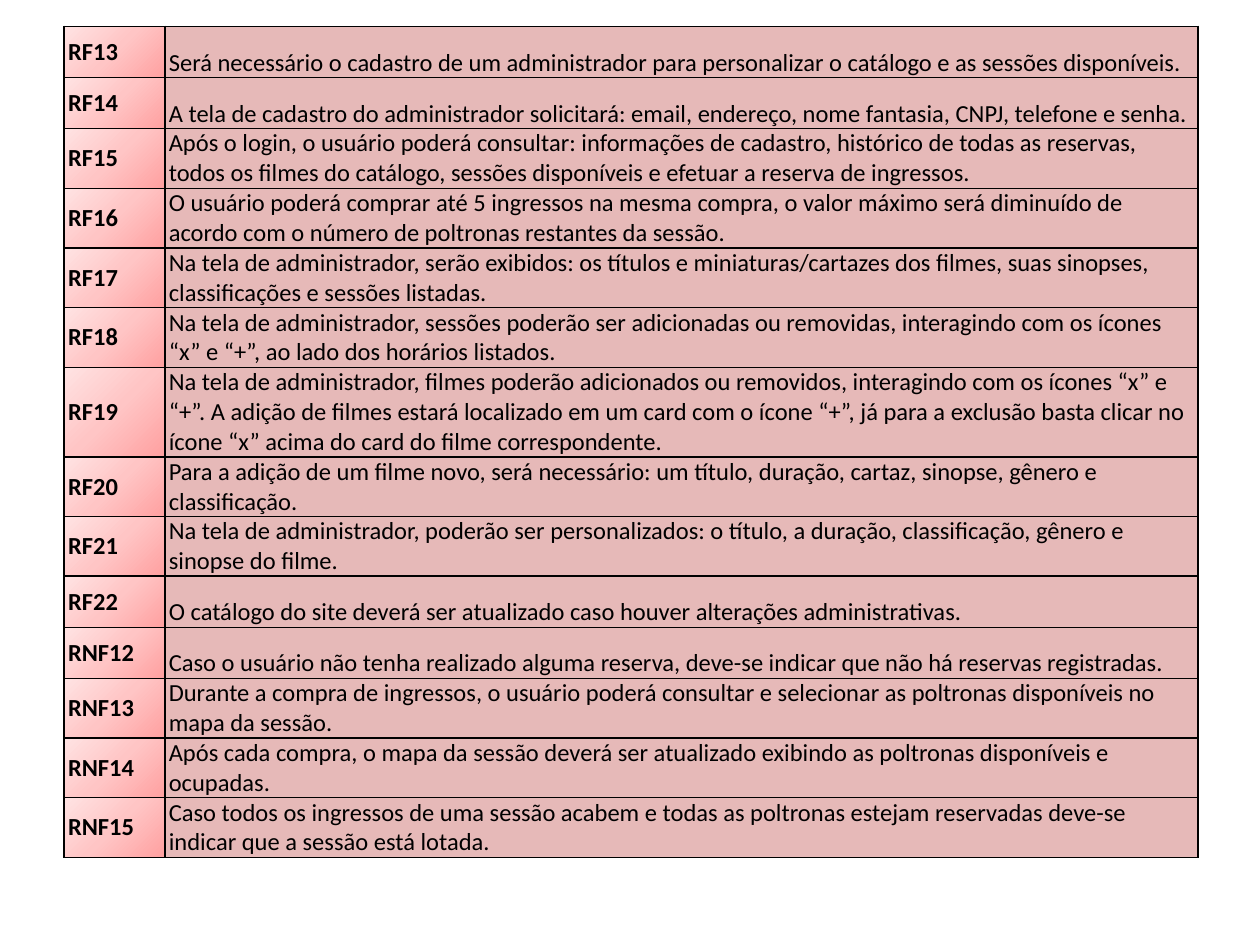
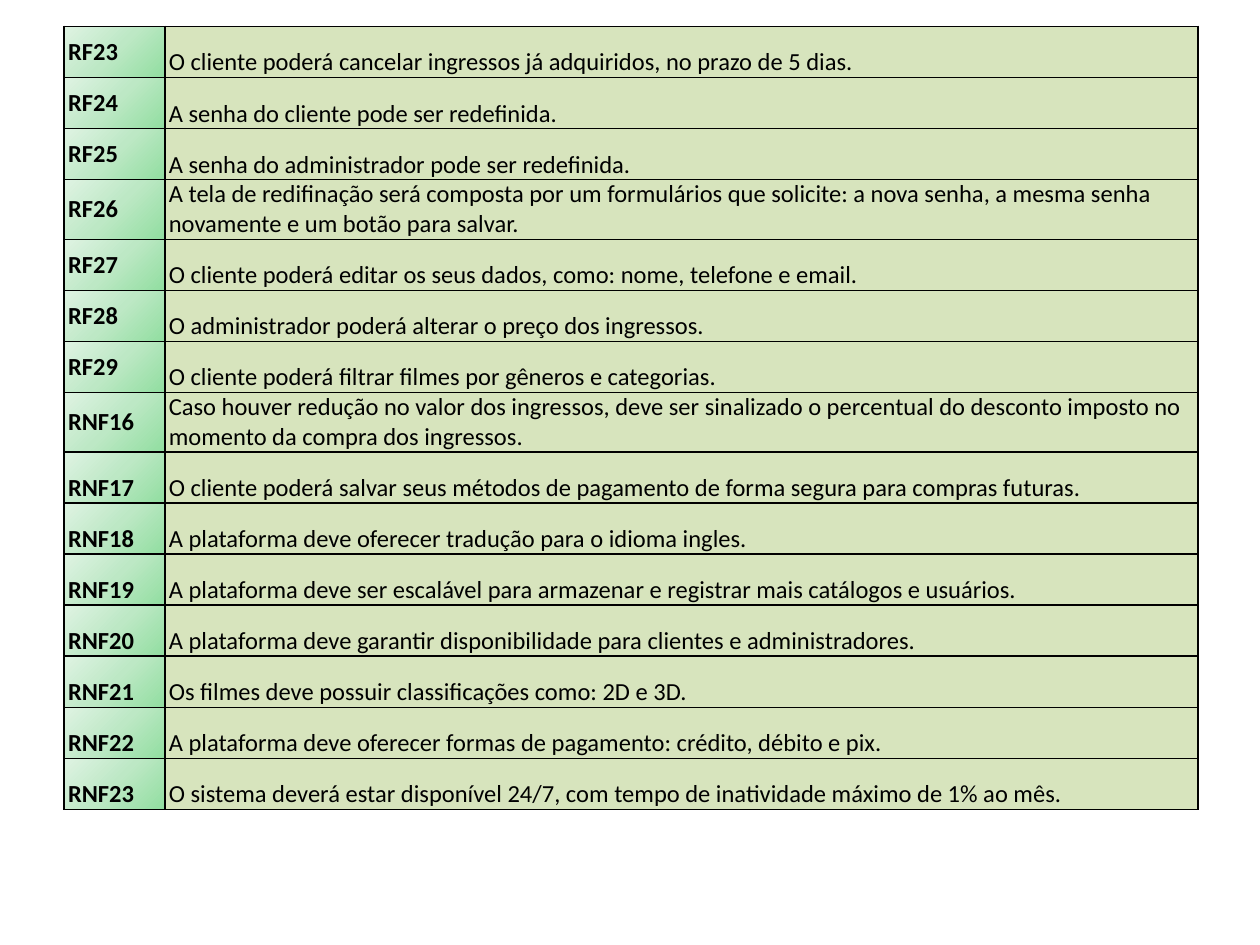
import lxml.etree
import pptx
import pptx.dml.color
import pptx.enum.text
import pptx.oxml.ns
import pptx.util

Inches = pptx.util.Inches
Pt = pptx.util.Pt
Anchor = pptx.enum.text.MSO_ANCHOR
qn = pptx.oxml.ns.qn

RED = {"shade": ("FFA0A0", "FFC5C5", "FFE3E3"), "plain": "E6B9B8"}
GREEN = {"shade": ("91DEA0", "BDE8C5", "DFF3E3"), "plain": "D7E4BD"}
INK = "000000"

ADMIN = [
    ("RF13", "Será necessário o cadastro de um administrador para personalizar o catálogo e as sessões disponíveis."),
    ("RF14", "A tela de cadastro do administrador solicitará: email, endereço, nome fantasia, CNPJ, telefone e senha."),
    ("RF15", "Após o login, o usuário poderá consultar: informações de cadastro, histórico de todas as reservas, "
             "todos os filmes do catálogo, sessões disponíveis e efetuar a reserva de ingressos."),
    ("RF16", "O usuário poderá comprar até 5 ingressos na mesma compra, o valor máximo será diminuído de acordo "
             "com o número de poltronas restantes da sessão."),
    ("RF17", "Na tela de administrador, serão exibidos: os títulos e miniaturas/cartazes dos filmes, suas sinopses, "
             "classificações e sessões listadas."),
    ("RF18", "Na tela de administrador, sessões poderão ser adicionadas ou removidas, interagindo com os ícones "
             "“x” e “+”, ao lado dos horários listados."),
    ("RF19", "Na tela de administrador, filmes poderão adicionados ou removidos, interagindo com os ícones “x” e "
             "“+”. A adição de filmes estará localizado em um card com o ícone “+”, já para a exclusão basta "
             "clicar no ícone “x” acima do card do filme correspondente."),
    ("RF20", "Para a adição de um filme novo, será necessário: um título, duração, cartaz, sinopse, gênero e "
             "classificação."),
    ("RF21", "Na tela de administrador, poderão ser personalizados: o título, a duração, classificação, gênero e "
             "sinopse do filme."),
    ("RF22", "O catálogo do site deverá ser atualizado caso houver alterações administrativas."),
    ("RNF12", "Caso o usuário não tenha realizado alguma reserva, deve-se indicar que não há reservas registradas."),
    ("RNF13", "Durante a compra de ingressos, o usuário poderá consultar e selecionar as poltronas disponíveis no "
              "mapa da sessão."),
    ("RNF14", "Após cada compra, o mapa da sessão deverá ser atualizado exibindo as poltronas disponíveis e "
              "ocupadas."),
    ("RNF15", "Caso todos os ingressos de uma sessão acabem e todas as poltronas estejam reservadas deve-se "
              "indicar que a sessão está lotada."),
]

CLIENT = [
    ("RF23", "O cliente poderá cancelar ingressos já adquiridos, no prazo de 5 dias."),
    ("RF24", "A senha do cliente pode ser redefinida."),
    ("RF25", "A senha do administrador pode ser redefinida."),
    ("RF26", "A tela de redifinação será composta por um formulários que solicite: a nova senha, a mesma senha "
             "novamente e um botão para salvar."),
    ("RF27", "O cliente poderá editar os seus dados, como: nome, telefone e email."),
    ("RF28", "O administrador poderá alterar o preço dos ingressos."),
    ("RF29", "O cliente poderá filtrar filmes por gêneros e categorias."),
    ("RNF16", "Caso houver redução no valor dos ingressos, deve ser sinalizado o percentual do desconto imposto no "
              "momento da compra dos ingressos."),
    ("RNF17", "O cliente poderá salvar seus métodos de pagamento de forma segura para compras futuras."),
    ("RNF18", "A plataforma deve oferecer tradução para o idioma ingles."),
    ("RNF19", "A plataforma deve ser escalável para armazenar e registrar mais catálogos e usuários."),
    ("RNF20", "A plataforma deve garantir disponibilidade para clientes e administradores."),
    ("RNF21", "Os filmes deve possuir classificações como: 2D e 3D."),
    ("RNF22", "A plataforma deve oferecer formas de pagamento: crédito, débito e pix."),
    ("RNF23", "O sistema deverá estar disponível 24/7, com tempo de inatividade máximo de 1% ao mês."),
]


def color(code):
    return pptx.dml.color.RGBColor.from_string(code)


def node(root, tag, **attrs):
    return lxml.etree.SubElement(root, qn(tag), attrs)


class Deck:
    """Builds slides of requirement tables in one shared style."""

    def __init__(self):
        self.show = pptx.Presentation()
        self.show.slide_width, self.show.slide_height = Inches(10), Inches(7.5)
        self.slide = None

    def page(self):
        self.slide = self.show.slides.add_slide(self.show.slide_layouts[6])

    def border(self, cell):
        props = cell._tc.get_or_add_tcPr()
        for side in "LRTB":
            line = node(props, f"a:ln{side}", w=str(Pt(1)))
            node(node(line, "a:solidFill"), "a:srgbClr", val=INK)

    def blend(self, cell, shade):
        grad = node(cell._tc.get_or_add_tcPr(), "a:gradFill", rotWithShape="1")
        stops = node(grad, "a:gsLst")
        for spot, code in zip((0, 50000, 100000), shade):
            node(node(stops, "a:gs", pos=str(spot)), "a:srgbClr", val=code)
        node(grad, "a:lin", ang=str(225 * 60000), scaled="0")

    def label(self, cell, text, anchor, bold=False):
        cell.text = text
        cell.vertical_anchor = anchor
        cell.margin_left = cell.margin_right = Inches(0.03)
        cell.margin_top = cell.margin_bottom = Inches(0)
        font = cell.text_frame.paragraphs[0].font
        font.name, font.size, font.bold = "Calibri", Pt(14), bold
        font.color.rgb = color(INK)
        self.border(cell)

    def table(self, items, theme, height, middle):
        grid = self.slide.shapes.add_table(
            len(items), 2, Inches(0.51), Inches(0.21), Inches(9), Inches(height)).table
        grid.first_row = grid.horz_banding = False
        grid.columns[0].width, grid.columns[1].width = Inches(0.8), Inches(8.2)
        for row, (code, text) in enumerate(items):
            key, body = grid.cell(row, 0), grid.cell(row, 1)
            self.label(key, code, Anchor.MIDDLE if row < middle else Anchor.BOTTOM, True)
            self.blend(key, theme["shade"])
            self.label(body, text, Anchor.BOTTOM)
            body.fill.solid()
            body.fill.fore_color.rgb = color(theme["plain"])


def main():
    deck = Deck()
    deck.page()
    deck.table(ADMIN, RED, 5.68, len(ADMIN))
    deck.page()
    deck.table(CLIENT, GREEN, 6.08, 8)
    deck.show.save("out.pptx")


if __name__ == "__main__":
    main()
